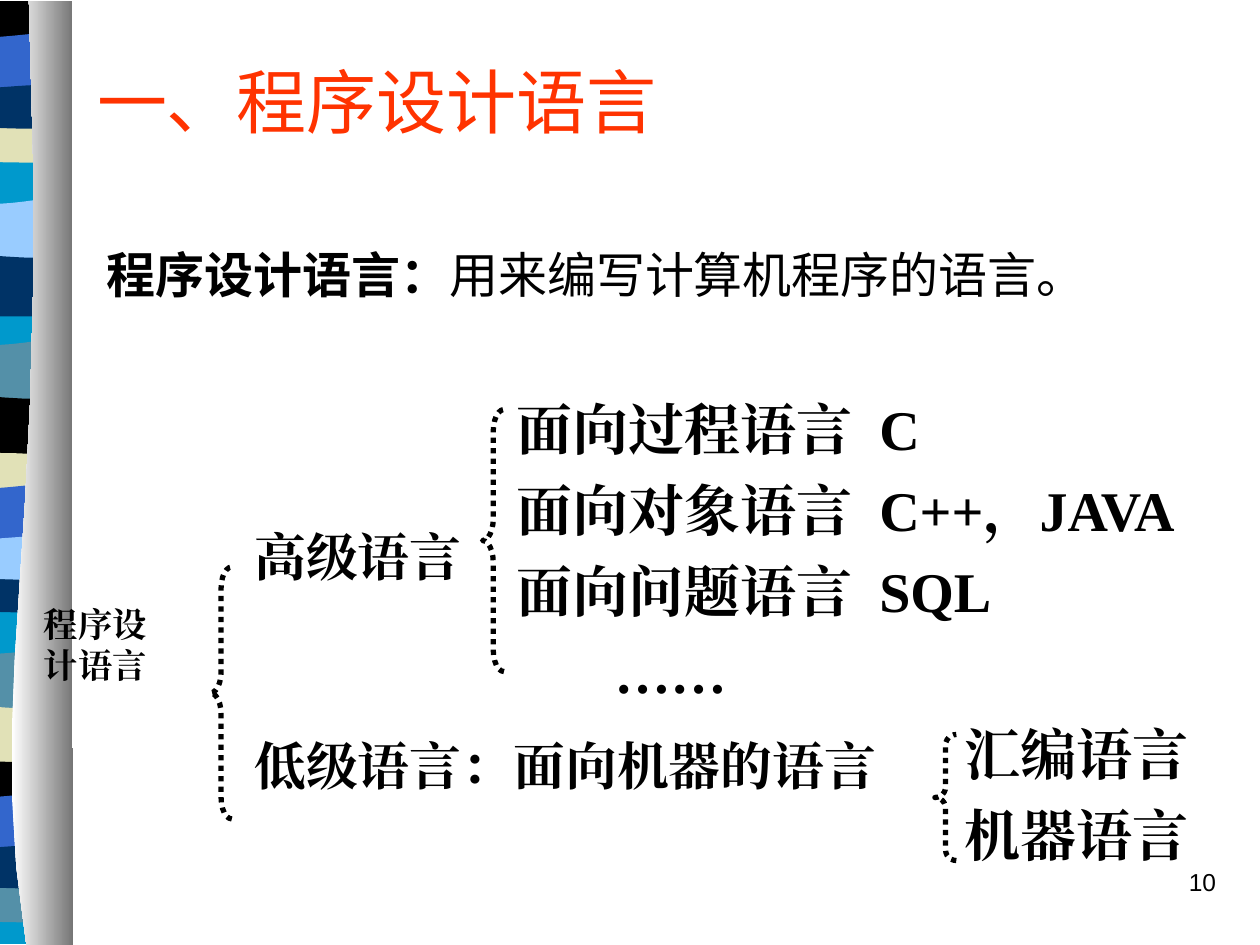
from dataclasses import dataclass

from lxml import etree
from pptx import Presentation
from pptx.dml.color import RGBColor
from pptx.enum.dml import MSO_LINE
from pptx.enum.shapes import MSO_SHAPE
from pptx.enum.text import MSO_ANCHOR, MSO_AUTO_SIZE, PP_ALIGN
from pptx.oxml.ns import qn
from pptx.util import Inches, Pt

LEFT_BRACE = MSO_SHAPE.LEFT_BRACE
DOTTED = MSO_LINE.ROUND_DOT
LEFT, RIGHT = PP_ALIGN.LEFT, PP_ALIGN.RIGHT
MIDDLE, TOP = MSO_ANCHOR.MIDDLE, MSO_ANCHOR.TOP
NO_AUTOSIZE = MSO_AUTO_SIZE.NONE

SANS, SERIF, ARIAL = "Noto Sans CJK SC", "Times New Roman", "Arial"
BLACK, NAVY, BLUE, CYAN = "000000", "003366", "3366CC", "0099CC"
SKY, TEAL, SAND, ORANGE = "99CCFF", "5490A8", "E1E1B7", "FF3300"
BAND_LEFT = -0.57
CURVE_STEPS = 10

# Band outlines: a pair is a straight step, six numbers are a Bezier curve
SWELL = [(0, .55), (0, .08), (.76, .16, .91, 0, 1.1, .08), (1.1, .55)]
DIP = [(0, .55), (0, .07), (.18, 0, .76, .13, 1.1, .07), (1.1, .55)]
LENS = [(0, .28), (0, .04), (.18, 0, .91, 0, 1.1, .04), (1.1, .28),
        (1.03, .33, .86, .32, .68, .32), (.49, .32, .14, .29, 0, .28)]
ARCH = [(0, .38), (0, .06), (.18, 0, .91, 0, 1.1, .06), (1.1, .38),
        (.42, .33, .23, .38, 0, .38)]
CAP = [(0, .38), (0, 0), (1.1, 0), (1.1, .38), (.42, .33, .23, .38, 0, .38)]
SAG = [(0, .47), (0, 0), (.17, .05, .24, .05, .42, .05),
       (.6, .05, .93, 0, 1.1, 0), (1.1, .47)]
WAVE = [(0, .36), (0, .06), (.07, 0, .24, .06, .42, .06),
        (.61, .06, .99, 0, 1.1, .06), (1.1, .36),
        (.94, .41, .35, .36, .17, .36), (0, .36)]
BACKDROP = [(0, 7.46), (0, 0), (1.1, 0), (1.1, 7.46)]
RIBBON = [(.21, 7.5), (-.14, 5.33, .41, 4.54, .23, .01), (.57, .01), (.58, 7.5)]


@dataclass
class Band:
    outline: list
    top: float
    color: str


@dataclass
class Brace:
    left: float
    top: float
    height: float
    width: float = 0.17


@dataclass
class Line:
    text: str
    before: float = 0
    margin: float = 0.38
    indent: float = -0.38
    tab: float = 0


@dataclass
class TextBlock:
    left: float
    top: float
    width: float
    height: float
    lines: list
    size: float
    font: str = SERIF
    bold: bool = True
    spacing: float = 1.0
    align: PP_ALIGN = LEFT


BANDS = [
    Band(BACKDROP, .03, CYAN),
    Band(SWELL, 5.09, TEAL), Band(DIP, 5.54, SAND), Band(LENS, 7, TEAL),
    Band(ARCH, 6.03, BLACK), Band(SAG, 6.28, BLUE), Band(WAVE, 6.67, NAVY),
    Band(SWELL, 2.64, TEAL), Band(DIP, 3.08, BLACK), Band(LENS, 4.54, NAVY),
    Band(ARCH, 3.58, SAND), Band(SAG, 3.83, BLUE), Band(WAVE, 4.22, SKY),
    Band(SWELL, 1.52, SKY), Band(DIP, 1.96, NAVY), Band(LENS, .97, SAND),
    Band(CAP, .01, BLACK), Band(SAG, .25, BLUE), Band(WAVE, .64, NAVY),
]
BRACES = [Brace(1.67, 4.5, 2), Brace(7.42, 5.83, 1), Brace(3.83, 3.25, 2.08)]
BLOCKS = [
    TextBlock(7.67, 6.83, 2.08, .5, [Line("10", 8.8, 0, 0)], 14, ARIAL, False,
              align=RIGHT),
    TextBlock(.75, 1.89, 8.5, .83,
              [Line("程序设计语言：用来编写计算机程序的语言。", 7)], 28, SANS),
    TextBlock(.25, 4.83, 1.42, .92, [Line("程序设", 7), Line("计语言", 7)],
              19.6, spacing=.7),
    TextBlock(1.92, 4.17, 5.67, 2.42,
              [Line("高级语言", 8), Line("低级语言：面向机器的语言", 87.6)],
              29.6, spacing=.9),
    TextBlock(4, 3.08, 6.75, 4.08,
              [Line("面向过程语言\tC", 8, tab=2.98),
               Line("面向对象语言\tC++，JAVA", 8, tab=2.98),
               Line("面向问题语言\tSQL", 8, tab=2.98),
               Line("……", 8, .78, 0),
               Line("汇编语言", 8, 3.56, 0), Line("机器语言", 8, 3.56, 0)], 32),
]


def rgb(color: str) -> RGBColor:
    return RGBColor.from_string(color)


def flatten(outline: list) -> list:
    """Turn the curves of an outline into short straight steps."""
    points = []
    for step in outline:
        if len(step) == 2:
            points.append(step)
            continue
        controls = [points[-1], step[:2], step[2:4], step[4:]]
        for index in range(1, CURVE_STEPS + 1):
            t = index / CURVE_STEPS
            weights = ((1 - t) ** 3, 3 * t * (1 - t) ** 2, 3 * t * t * (1 - t), t ** 3)
            points.append(tuple(sum(w * p[axis] for w, p in zip(weights, controls))
                                for axis in (0, 1)))
    return points


def add_outline(page, outline: list, left: float = 0, top: float = 0):
    points = [(Inches(left + x), Inches(top + y)) for x, y in flatten(outline)]
    builder = page.shapes.build_freeform(*points[0])
    builder.add_line_segments(points[1:], close=True)
    shape = builder.convert_to_shape()
    shape.shadow.inherit = False
    shape.line.fill.background()
    return shape


def add_ribbon(page) -> None:
    for band in BANDS:
        shape = add_outline(page, band.outline, BAND_LEFT, band.top)
        shape.fill.solid()
        shape.fill.fore_color.rgb = rgb(band.color)
    ribbon = add_outline(page, RIBBON)
    ribbon.fill.gradient()
    ribbon.fill.gradient_angle = 0
    for stop, color in zip(ribbon.fill.gradient_stops, ("FFFFFF", "767676")):
        stop.color.rgb = rgb(color)


def add_brace(page, brace: Brace) -> None:
    shape = page.shapes.add_shape(LEFT_BRACE, Inches(brace.left), Inches(brace.top),
                                  Inches(brace.width), Inches(brace.height))
    shape.adjustments[0] = brace.height / 12 / brace.width
    shape.shadow.inherit = False
    shape.fill.background()
    shape.line.color.rgb = rgb(BLACK)
    shape.line.width = Pt(3)
    shape.line.dash_style = DOTTED


def format_span(span, size: float, font: str, color: str, bold: bool) -> None:
    span.font.size, span.font.bold, span.font.name = Pt(size), bold, font
    span.font.color.rgb = rgb(color)
    east_asian = etree.SubElement(span.font._element, qn("a:ea"))
    east_asian.set("typeface", font)


def add_text(page, block: TextBlock):
    box = page.shapes.add_textbox(Inches(block.left), Inches(block.top),
                                  Inches(block.width), Inches(block.height))
    frame = box.text_frame
    frame.word_wrap, frame.auto_size, frame.vertical_anchor = True, NO_AUTOSIZE, TOP
    frame.text = "\n".join(line.text for line in block.lines)
    for para, line in zip(frame.paragraphs, block.lines):
        para.alignment, para.line_spacing = block.align, block.spacing
        para.space_before = Pt(line.before)
        properties = para._p.get_or_add_pPr()
        properties.set("marL", str(Inches(line.margin)))
        properties.set("indent", str(Inches(line.indent)))
        if line.tab:
            tabs = etree.SubElement(properties, qn("a:tabLst"))
            etree.SubElement(tabs, qn("a:tab"), pos=str(Inches(line.tab)), algn="l")
        for span in para.runs:
            format_span(span, block.size, block.font, BLACK, block.bold)
    return box


def main() -> None:
    deck = Presentation()
    deck.slide_width, deck.slide_height = Inches(10), Inches(7.5)
    page = deck.slides.add_slide(deck.slide_layouts[5])
    add_ribbon(page)

    # Title
    title = page.shapes.title
    title.left, title.top = Inches(.67), Inches(.17)
    title.width, title.height = Inches(9.12), Inches(1.25)
    title.text_frame.text = "一、程序设计语言"
    title.text_frame.auto_size = NO_AUTOSIZE
    title.text_frame.vertical_anchor = MIDDLE
    heading = title.text_frame.paragraphs[0]
    heading.alignment = LEFT
    format_span(heading.runs[0], 40, SANS, ORANGE, False)

    # Braces and text; the definition has a bold term and a plain explanation
    for brace in BRACES:
        add_brace(page, brace)
    number, definition, *_ = [add_text(page, block) for block in BLOCKS]
    para = definition.text_frame.paragraphs[0]
    term, explanation = para.runs[0], para.add_run()
    term.text, explanation.text = "程序设计语言：", "用来编写计算机程序的语言。"
    format_span(explanation, 28, SANS, BLACK, False)

    deck.save("out.pptx")


if __name__ == "__main__":
    main()
